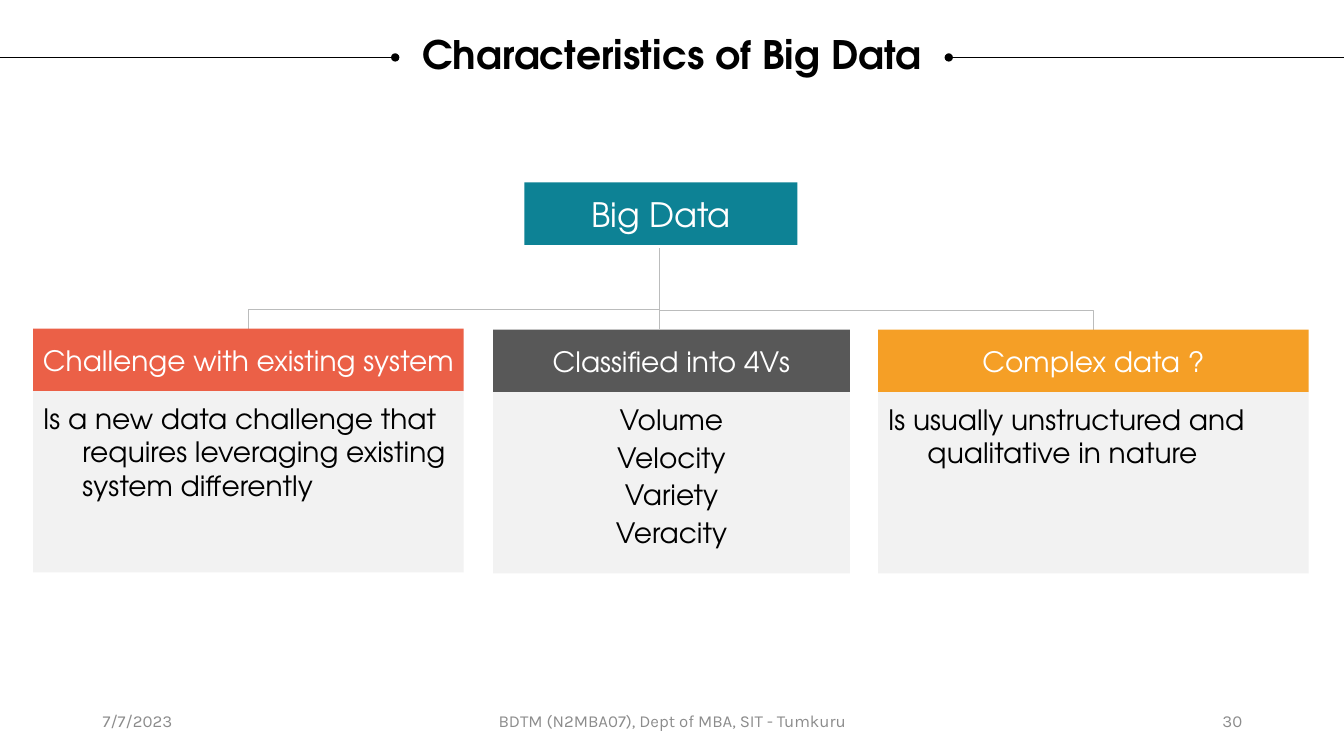
import pptx
import pptx.util
import pptx.dml.color
import pptx.enum.shapes
import pptx.enum.text
import pptx.oxml
import pptx.oxml.ns

Inches = pptx.util.Inches
Pt = pptx.util.Pt
ALIGN = pptx.enum.text.PP_ALIGN
ANCHOR = pptx.enum.text.MSO_ANCHOR

HEADING_FONT, FOOTER_FONT = "TeX Gyre Adventor", "Karla"
BLACK, WHITE, PANEL, BRANCH, MUTED = "000000", "FFFFFF", "F2F2F2", "BBBCBC", "8C8C8C"
HEADER_HEIGHT, BODY_HEIGHT, HANG = 0.62, 1.8, 0.39
ROOT = (5.2, 1.81, 2.71, HEADER_HEIGHT)
TRUNK_X = 6.55
CARDS = [
    ((0.33, 3.26, 4.27), "EB6047", "Challenge with existing system", ALIGN.LEFT,
     "Is a new data challenge that requires leveraging existing system differently"),
    ((4.89, 3.27, 3.54), "585858", "Classified into 4Vs", ALIGN.CENTER,
     "Volume\nVelocity\nVariety\nVeracity"),
    ((8.71, 3.27, 4.27), "F59F26", "Complex data ?", ALIGN.LEFT,
     "Is usually unstructured and qualitative in nature"),
]


def rgb(code):
    return pptx.dml.color.RGBColor.from_string(code)


def write(shape, text, size, color, align, anchor, margins, font=HEADING_FONT, bold=False):
    frame = shape.text_frame
    frame.text = text
    frame.word_wrap = True
    frame.vertical_anchor = anchor
    frame.margin_left = frame.margin_right = Inches(margins[0])
    frame.margin_top = frame.margin_bottom = Inches(margins[1])
    for para in frame.paragraphs:
        para.alignment = align
        for span in para.runs:
            span.font.name, span.font.size, span.font.bold = font, Pt(size), bold
            span.font.color.rgb = rgb(color)
    return frame


def add_label(page, box, *style, **options):
    return write(page.shapes.add_textbox(*map(Inches, box)), *style, **options)


def add_panel(page, box, fill, *style):
    panel = page.shapes.add_shape(pptx.enum.shapes.MSO_SHAPE.RECTANGLE, *map(Inches, box))
    panel.shadow.inherit = False
    panel.fill.solid()
    panel.fill.fore_color.rgb = rgb(fill)
    panel.line.fill.background()
    return write(panel, *style, margins=(0.1, 0.1))


def add_line(page, start, end, color, dot_at_end=False):
    line = page.shapes.add_connector(
        pptx.enum.shapes.MSO_CONNECTOR.STRAIGHT, *map(Inches, start + end))
    line.line.color.rgb = rgb(color)
    line.line.width = Pt(0.5)
    properties = line._element.spPr
    if dot_at_end:
        dot = pptx.oxml.parse_xml(f'<a:tailEnd {pptx.oxml.ns.nsdecls("a")} type="oval"/>')
        line.line._get_or_add_ln().append(dot)
    properties.append(pptx.oxml.parse_xml(f'<a:effectLst {pptx.oxml.ns.nsdecls("a")}/>'))


def add_title(page, box):
    # Rules run in from the slide edges and end in dots beside the title
    left, top, width, height = box
    middle, gap = 0.57, 3.92
    add_line(page, (0, middle), (gap, middle), BLACK, dot_at_end=True)
    add_line(page, (13.33, middle), (13.33 - gap, middle), BLACK, dot_at_end=True)
    frame = add_label(page, box, "Characteristics of Big Data", 28, BLACK,
                      ALIGN.CENTER, ANCHOR.TOP, (0, 0), bold=True)
    frame.paragraphs[0].line_spacing = 0.9


def add_branch(page, card):
    # Elbow from the top of a card to the trunk
    left, top, width = card
    center = left + width / 2
    builder = page.shapes.build_freeform(Inches(center), Inches(top))
    builder.add_line_segments(
        [(Inches(center), Inches(top - 0.19)), (Inches(TRUNK_X), Inches(top - 0.19))],
        close=False)
    elbow = builder.convert_to_shape()
    elbow.shadow.inherit = False
    elbow.fill.background()
    elbow.line.color.rgb = rgb(BRANCH)
    elbow.line.width = Pt(0.5)


def add_card(page, card, color, heading, align, text):
    left, top, width = card
    add_panel(page, (left, top, width, HEADER_HEIGHT), color,
              heading, 20, WHITE, ALIGN.CENTER, ANCHOR.MIDDLE).word_wrap = False
    body = add_panel(page, (left, top + HEADER_HEIGHT, width, BODY_HEIGHT), PANEL,
                     text, 20, BLACK, align, ANCHOR.TOP)
    for index, para in enumerate(body.paragraphs):
        indents = para._p.get_or_add_pPr()
        indents.set("marL", str(Inches(HANG)))
        indents.set("indent", str(-Inches(HANG)))
        para.space_before = Pt(3 if index else 0)


def add_tree(page):
    add_branch(page, CARDS[0][0])
    add_branch(page, CARDS[2][0])
    add_line(page, (TRUNK_X - 0.01, 3.26), (TRUNK_X - 0.01, 2.46), BRANCH)
    add_panel(page, ROOT, "0D8295", "Big Data", 24, WHITE, ALIGN.CENTER, ANCHOR.MIDDLE)
    for card in CARDS:
        add_card(page, *card)


def add_footer(page, top, height):
    for left, width, text, align in [
        (0.92, 3, "7/7/2023", ALIGN.LEFT),
        (4.42, 4.5, "BDTM (N2MBA07), Dept of MBA, SIT - Tumkuru", ALIGN.CENTER),
        (9.42, 3, "30", ALIGN.RIGHT),
    ]:
        add_label(page, (left, top, width, height), text, 12, MUTED, align,
                  ANCHOR.MIDDLE, (0.1, 0.05), font=FOOTER_FONT)


def main():
    deck = pptx.Presentation()
    deck.slide_width, deck.slide_height = Inches(13.33), Inches(7.5)
    page = deck.slides.add_slide(deck.slide_layouts[6])
    add_title(page, (0.25, 0.35, 12.83, 0.42))
    add_tree(page)
    add_footer(page, 6.95, 0.4)
    deck.save("out.pptx")


if __name__ == "__main__":
    main()
